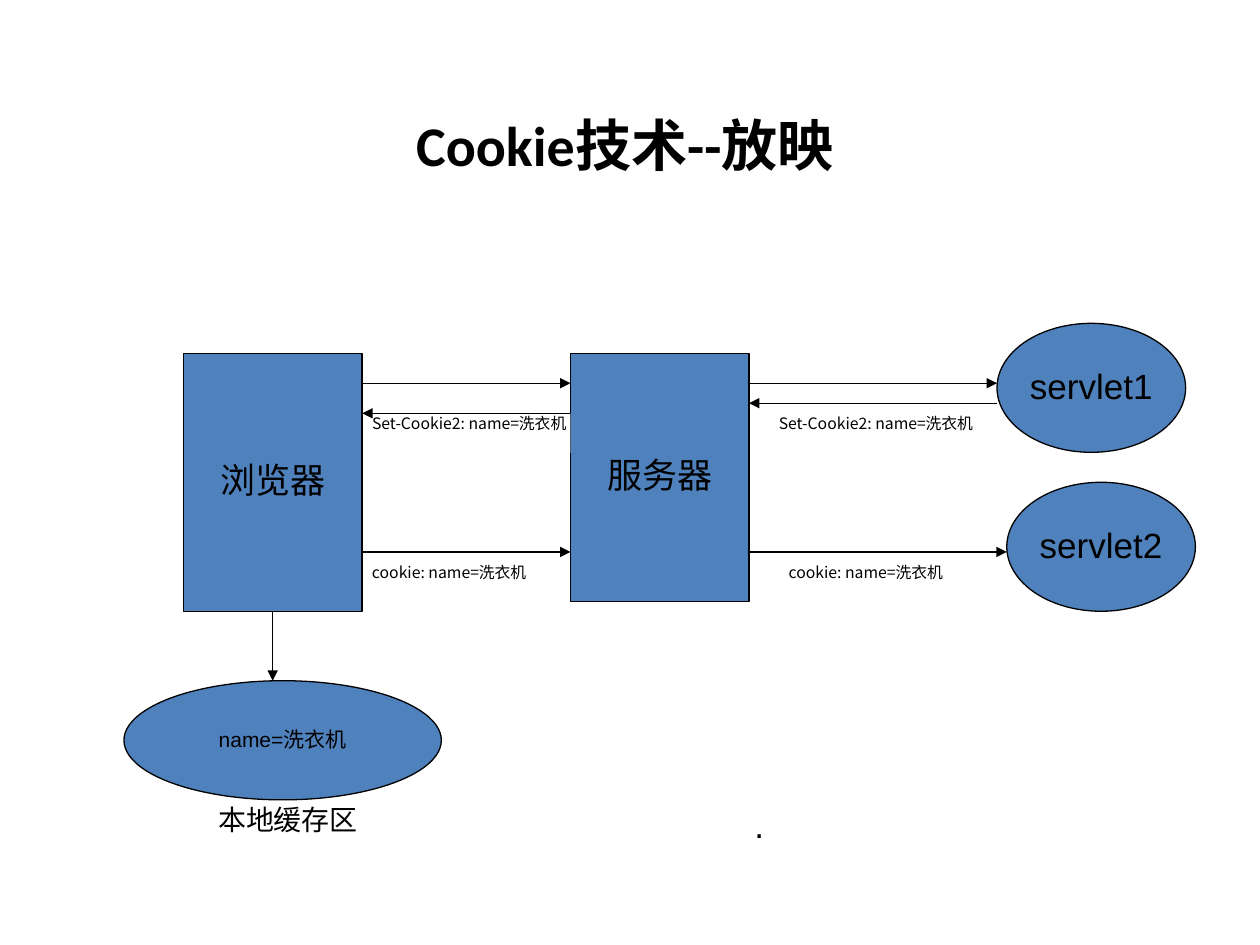
from lxml import etree
from pptx import Presentation
from pptx.dml.color import RGBColor
from pptx.enum import shapes, text
from pptx.oxml.ns import qn
from pptx.util import Pt

RECT, OVAL = shapes.MSO_SHAPE.RECTANGLE, shapes.MSO_SHAPE.OVAL
MIDDLE, TOP = text.MSO_ANCHOR.MIDDLE, text.MSO_ANCHOR.TOP
CENTER, LEFT = text.PP_ALIGN.CENTER, text.PP_ALIGN.LEFT


def color(value):
    return RGBColor.from_string(value)


def write(sp, words, size, font="Arial", bold=False, align=CENTER, anchor=MIDDLE,
          wrap=False, inset=(7.2, 3.6), spacing=0.9, before=0):
    tf = sp.text_frame
    x, y = map(Pt, inset)
    frame = dict(word_wrap=wrap, vertical_anchor=anchor, margin_left=x,
                 margin_right=x, margin_top=y, margin_bottom=y)
    p = tf.paragraphs[0]
    r = p.add_run()
    r.text = words
    para = dict(alignment=align, line_spacing=spacing, space_before=Pt(before))
    for obj, values in ((tf, frame), (p, para),
                        (r.font, dict(name=font, size=Pt(size), bold=bold))):
        for key, value in values.items():
            setattr(obj, key, value)
    r.font.color.rgb = color("000000")


prs = Presentation()
prs.slide_width, prs.slide_height = Pt(720), Pt(540)
s = prs.slides.add_slide(prs.slide_layouts[6])

title = s.shapes.add_textbox(Pt(54), Pt(25.9), Pt(606.2), Pt(113))
write(title, "Cookie技术--放映", 32, font="Calibri", bold=True, wrap=True, spacing=1.0)

nodes = [
    (RECT, 104.9, 202, 102, 147.4, "浏览器", 20, 5),
    (RECT, 326, 202, 102, 141.7, "服务器", 20, 5),
    (OVAL, 569.7, 184.8, 107.8, 73.7, "servlet1", 20, 5),
    (OVAL, 575.3, 275.6, 107.8, 73.7, "servlet2", 20, 5),
    (OVAL, 70.8, 389, 181.4, 68.1, "name=洗衣机", 12, 3),
]
for kind, x, y, w, h, words, size, before in nodes:
    sp = s.shapes.add_shape(kind, Pt(x), Pt(y), Pt(w), Pt(h))
    sp.shadow.inherit = False
    sp.fill.solid()
    sp.fill.fore_color.rgb = color("4F81BD")
    sp.line.color.rgb = color("000000")
    sp.line.width = Pt(0.75)
    write(sp, words, size, before=before)

labels = [
    (445, 236.2, 124.7, "Set-Cookie2: name=洗衣机"),
    (212.6, 236.2, 113.4, "Set-Cookie2: name=洗衣机"),
    (212.6, 321.3, 102, "cookie: name=洗衣机"),
    (450.7, 321.3, 102, "cookie: name=洗衣机"),
]
for x, y, w, words in labels:
    sp = s.shapes.add_shape(RECT, Pt(x), Pt(y), Pt(w), Pt(22.6))
    sp.shadow.inherit = False
    sp.fill.solid()
    sp.fill.fore_color.rgb = color("FFFFFF")
    sp.line.fill.background()
    write(sp, words, 9, font="Noto Sans CJK SC", align=LEFT, anchor=TOP,
          wrap=True, inset=(0, 0), spacing=1.0)

arrows = [
    (207, 219, 326, 219),
    (428, 219, 569.7, 219),
    (569.7, 230.4, 428, 230.4),
    (326, 236.2, 207, 236.2),
    (207, 315.4, 326, 315.4),
    (428, 315.4, 575.3, 315.4),
    (155.8, 349.4, 155.8, 389),
]
for ends in arrows:
    cn = s.shapes.add_connector(shapes.MSO_CONNECTOR.STRAIGHT, *map(Pt, ends))
    cn.line.color.rgb = color("000000")
    cn.line.width = Pt(0.75)
    etree.SubElement(cn.line._get_or_add_ln(), qn("a:tailEnd"), type="triangle")
    etree.SubElement(cn._element.spPr, qn("a:effectLst"))

captions = [
    (99.4, 457.2, 130.3, 24.5, "本地缓存区", 16, 10, True),
    (396.7, 458.6, 74.2, 28.8, ".", 20, 5, False),
]
for x, y, w, h, words, size, before, wrap in captions:
    sp = s.shapes.add_textbox(Pt(x), Pt(y), Pt(w), Pt(h))
    write(sp, words, size, anchor=TOP, wrap=wrap, before=before)

prs.save("out.pptx")
